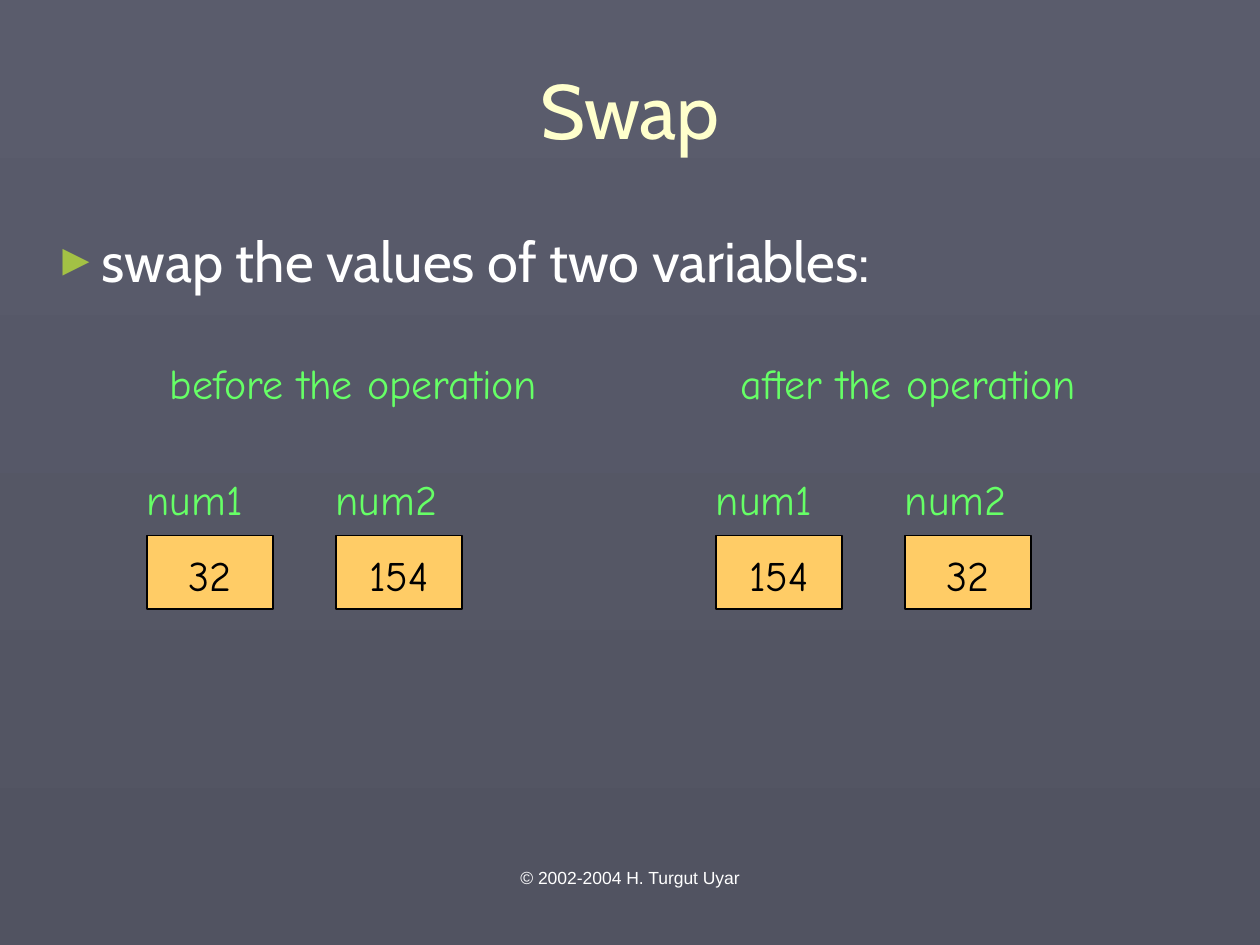
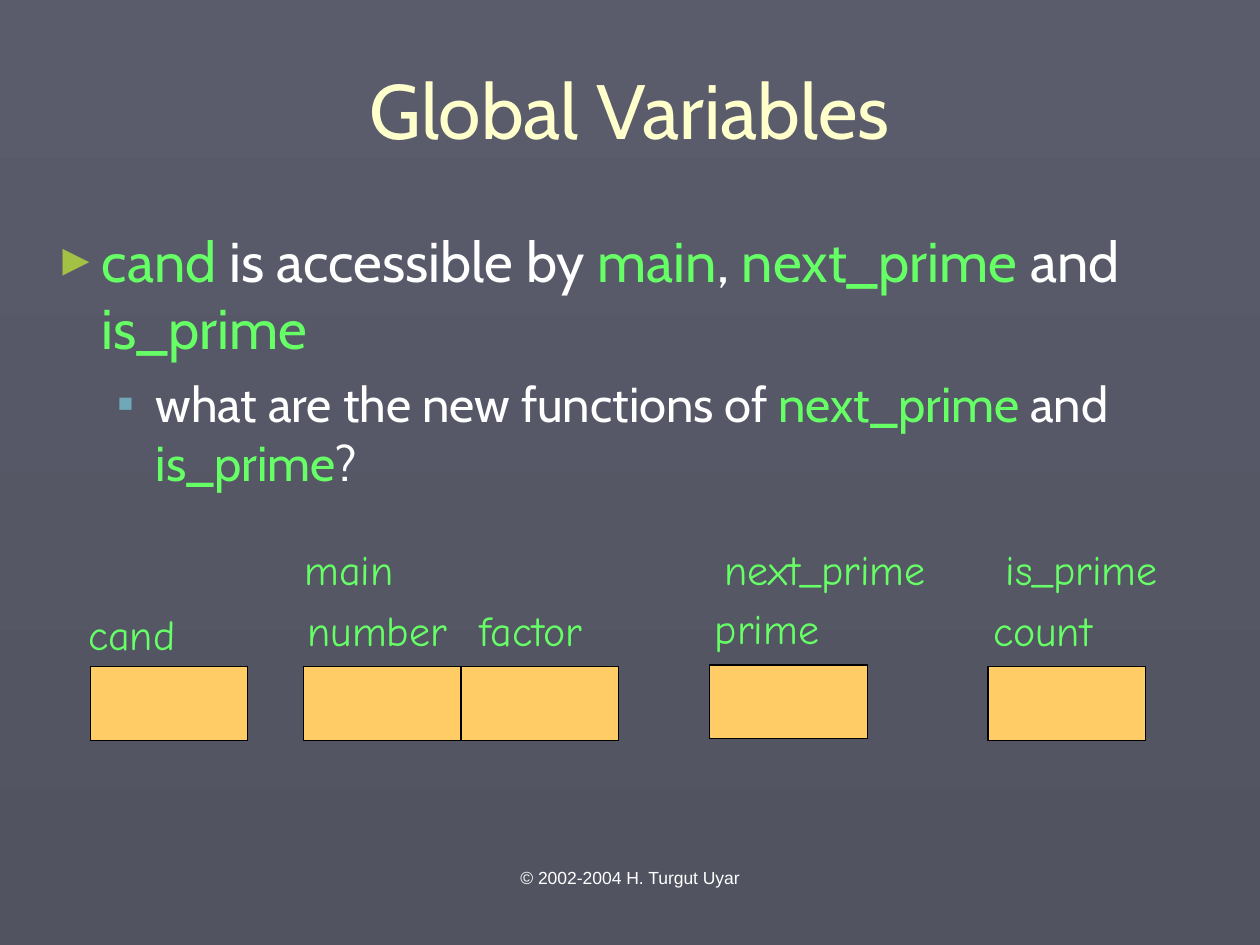
from dataclasses import dataclass

from lxml import etree
from pptx import Presentation
from pptx.dml.color import RGBColor
from pptx.enum.shapes import MSO_SHAPE
from pptx.enum.text import MSO_ANCHOR, MSO_AUTO_SIZE, PP_ALIGN
from pptx.oxml.ns import qn
from pptx.util import Inches, Pt

RECT = MSO_SHAPE.RECTANGLE
TOP, MIDDLE = MSO_ANCHOR.TOP, MSO_ANCHOR.MIDDLE
LEFT, CENTER = PP_ALIGN.LEFT, PP_ALIGN.CENTER
GROW, FIXED = MSO_AUTO_SIZE.SHAPE_TO_FIT_TEXT, MSO_AUTO_SIZE.NONE

# The slide is a grid of 120 columns and 90 rows, 12 to the inch.
COLS, ROWS, STEP = 120, 90, 12
EDGE = 3.95
BOX_H, LABEL_H = 7, 6.5


@dataclass(frozen=True)
class Theme:
    sky: str = "5A5C6C"
    ground: str = "515361"
    title: str = "FFFFCC"
    white: str = "FFFFFF"
    code: str = "66FF66"
    box: str = "FFCC66"
    black: str = "000000"
    sans: str = "Cabin"
    hand: str = "Comic Neue"
    plain: str = "Arial"
    title_pt: int = 44
    body_pts: tuple = (32, 28)
    label_pt: int = 24
    foot_pt: int = 10


T = Theme()


@dataclass(frozen=True)
class Bullet:
    mark: str
    color: str
    scale: int
    left: float
    hang: float
    before: int


BULLETS = (
    Bullet("►", "A3C145", 80, 0.38, 0.38, 8),
    Bullet("▪", "6FA9B7", 100, 0.81, 0.31, 7),
)


def rgb(code):
    return RGBColor.from_string(code)


def grid(*cells):
    return [Inches(cell / STEP) for cell in cells]


def write(frame, text, *, size, face, ink, align=LEFT, anchor=TOP,
          before=0, lead=1.0, wrap=True, fit=FIXED):
    """Add a paragraph; words between backticks take the code colour."""
    frame.word_wrap = wrap
    frame.auto_size = fit
    frame.vertical_anchor = anchor
    first = frame.paragraphs[0]
    par = frame.add_paragraph() if first.runs else first
    par.alignment = align
    par.space_before = Pt(before)
    par.line_spacing = lead
    for index, part in enumerate(text.split("`")):
        if part:
            run = par.add_run()
            run.text = part
            run.font.size = Pt(size)
            run.font.name = face
            run.font.color.rgb = rgb(T.code if index % 2 else ink)
    return par


def mark(par, level):
    """Give a paragraph the bullet and hanging indent of its level."""
    style = BULLETS[level]
    par.level = level
    props = par._p.get_or_add_pPr()
    props.set("marL", str(Inches(style.left)))
    props.set("indent", str(-Inches(style.hang)))
    tint = etree.SubElement(props, qn("a:buClr"))
    etree.SubElement(tint, qn("a:srgbClr"), val=style.color)
    etree.SubElement(props, qn("a:buSzPct"), val=str(style.scale * 1000))
    etree.SubElement(props, qn("a:buFont"), typeface=T.plain)
    etree.SubElement(props, qn("a:buChar"), char=style.mark)


def backdrop(deck):
    fill = deck.slide_master.background.fill
    fill.gradient()
    fill.gradient_angle = 270
    for stop, color in zip(fill.gradient_stops, (T.sky, T.ground)):
        stop.color.rgb = rgb(color)


def page(deck, title, lines):
    """Add a slide with title, bulleted (level, text) lines and footer."""
    slide = deck.slides.add_slide(deck.slide_layouts[5])
    wide = COLS - 2 * EDGE
    head = slide.shapes.title
    head.left, head.top, head.width, head.height = grid(EDGE, 2.9, wide, 15)
    write(head.text_frame, title, size=T.title_pt, face=T.sans,
          ink=T.title, align=CENTER, anchor=MIDDLE)
    body = slide.shapes.add_textbox(*grid(EDGE, 21, wide, 59))
    for level, text in lines:
        par = write(body.text_frame, text, size=T.body_pts[level],
                    face=T.sans, ink=T.white, before=BULLETS[level].before)
        mark(par, level)
    foot = slide.shapes.add_textbox(*grid(41, ROWS - 8, 38, 6.2))
    write(foot.text_frame, "© 2002-2004 H. Turgut Uyar", size=T.foot_pt,
          face=T.plain, ink=T.white, align=CENTER)
    return slide.shapes


def label(shapes, text, x, y, width):
    area = shapes.add_textbox(*grid(x, y, width, LABEL_H))
    write(area.text_frame, text, size=T.label_pt, face=T.hand, ink=T.code,
          before=6, lead=1.1, wrap=False, fit=GROW)


def cell(shapes, x, y, width, value="", line=0.75):
    """Draw a memory box, with its value when it has one."""
    box = shapes.add_shape(RECT, *grid(x, y, width, BOX_H))
    box.shadow.inherit = False
    box.fill.solid()
    box.fill.fore_color.rgb = rgb(T.box)
    box.line.color.rgb = rgb(T.black)
    box.line.width = Pt(line)
    if value:
        write(box.text_frame, value, size=T.label_pt, face=T.hand,
              ink=T.black, align=CENTER, anchor=MIDDLE, before=6,
              lead=1.1, wrap=False)


def state(shapes, x, caption, shift, width, values):
    """Draw num1 and num2 with their values, as one group."""
    group = shapes.add_group_shape().shapes
    label(group, caption, x + shift, 33, width)
    for index, value in enumerate(values):
        left = x + 18 * index
        cell(group, left, 51, 12, value, line=1)
        label(group, f"num{index + 1}", left - 1.2, 44, 11.8 + index / 2)


def swap(deck):
    shapes = page(deck, "Swap", [(0, "swap the values of two variables:")])
    state(shapes, 14, "before the operation", 1, 37.7, ("32", "154"))
    state(shapes, 68.2, "after the operation", 1.15, 34.7, ("154", "32"))


def scope(deck):
    shapes = page(deck, "Global Variables", [
        (0, "`cand` is accessible by `main`, `next_prime` and `is_prime`"),
        (1, "what are the new functions of `next_prime` and `is_prime`?"),
    ])
    # name, box left, box top, label left, label top, label width
    slots = (
        ("cand", 8.6, 63.5, 7.2, 56.9, 10.9),
        ("number", 28.9, 63.5, 28.1, 56.5, 15.9),
        ("factor", 43.9, 63.5, 44.5, 56.5, 12.6),
        ("prime", 67.6, 63.35, 66.9, 56.3, 12.6),
        ("count", 94.1, 63.5, 93.4, 56.5, 12),
    )
    for name, x, y, left, top, width in slots:
        cell(shapes, x, y, 15)
        label(shapes, name, left, top, width)
    owners = (("main", 27.8, 11.2), ("next_prime", 67.8, 21.8),
              ("is_prime", 94.6, 17.1))
    for name, left, width in owners:
        label(shapes, name, left, 50.7, width)


def main():
    deck = Presentation()
    deck.slide_width, deck.slide_height = grid(COLS, ROWS)
    backdrop(deck)
    swap(deck)
    scope(deck)
    deck.save("out.pptx")


if __name__ == "__main__":
    main()
